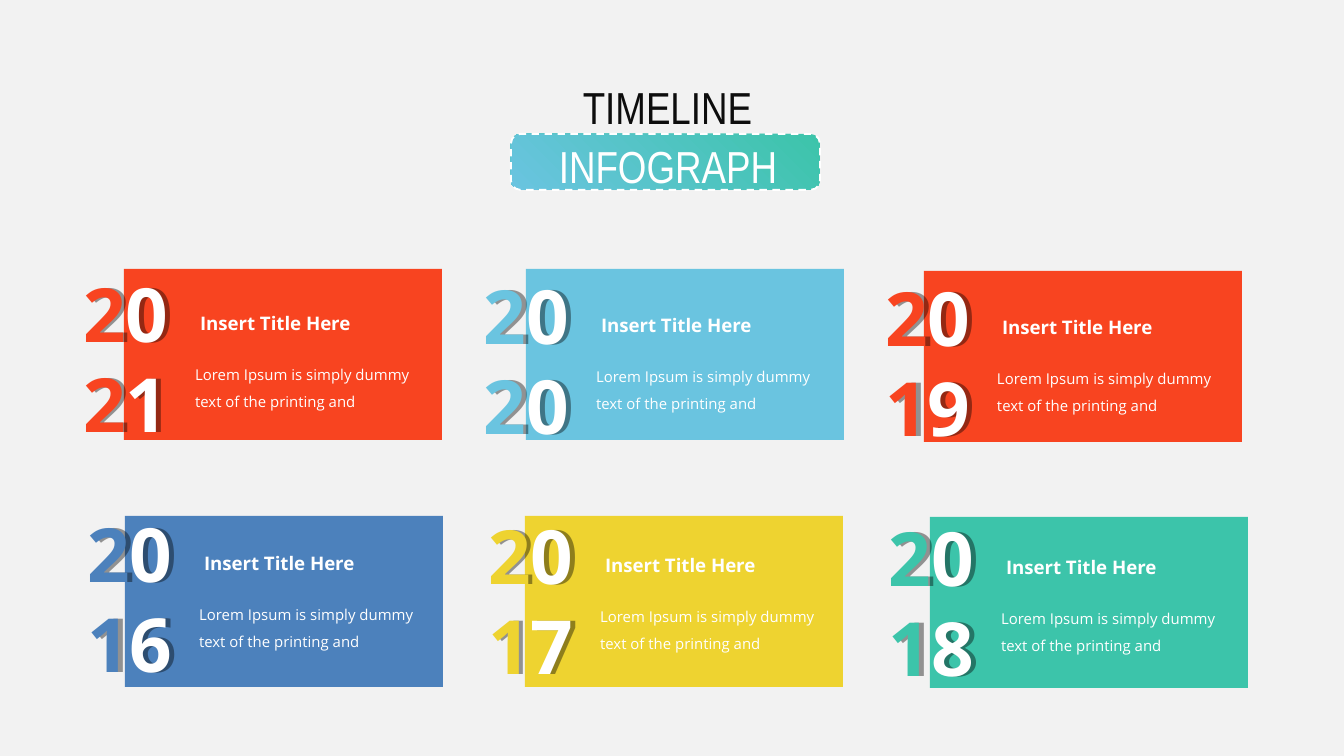
from lxml import etree
from pptx import Presentation
from pptx.dml.color import RGBColor
from pptx.enum.dml import MSO_LINE
from pptx.enum.shapes import MSO_SHAPE
from pptx.enum.text import MSO_ANCHOR, MSO_AUTO_SIZE, PP_ALIGN
from pptx.oxml.ns import qn
from pptx.util import Emu, Pt

ROUNDED = MSO_SHAPE.ROUNDED_RECTANGLE
DASH = MSO_LINE.DASH
TOP = MSO_ANCHOR.TOP
FIT_SHAPE = MSO_AUTO_SIZE.SHAPE_TO_FIT_TEXT
LEFT, CENTER = PP_ALIGN.LEFT, PP_ALIGN.CENTER

EMU_PER_PX = 914400 / 134.4
COLORS = {
    "background": "F2F2F2", "white": "FFFFFF", "ink": "0D0D0D", "shadow": "000000",
    "red": "F84420", "sky": "6AC4E0", "blue": "4C81BC",
    "yellow": "EED330", "teal": "3CC4AA",
}
SANS, NARROW = "Open Sans", "Arial Narrow"
HEADING = "Insert Title Here"
BODY = "Lorem Ipsum is simply dummy text of the printing and"

# Year, colour, card left and top; three cards to a row
CARDS = [
    ("2021", "red", 124, 269), ("2020", "sky", 526, 269), ("2019", "red", 924, 271),
    ("2016", "blue", 125, 516), ("2017", "yellow", 525, 516), ("2018", "teal", 930, 517),
]
COLUMNS = 3


def px(value):
    return Emu(round(value * EMU_PER_PX))


def rgb(name):
    return RGBColor.from_string(COLORS[name])


def add_rounded(slide, left, top, width, height, corner):
    shape = slide.shapes.add_shape(ROUNDED, px(left), px(top), px(width), px(height))
    shape.adjustments[0] = corner
    shape.shadow.inherit = False
    return shape


def write_text(shape, runs, font_name, size, bold=False, align=LEFT,
               inset=(13, 7), wrap=True, spacing=1.0):
    """Fill a text shape with (text, colour) runs in one paragraph."""
    frame = shape.text_frame
    frame.word_wrap = wrap
    frame.auto_size = FIT_SHAPE
    frame.vertical_anchor = TOP
    frame.margin_left = frame.margin_right = px(inset[0])
    frame.margin_top = frame.margin_bottom = px(inset[1])
    paragraph = frame.paragraphs[0]
    paragraph.alignment = align
    paragraph.line_spacing = spacing
    for text, color in runs:
        run = paragraph.add_run()
        run.text = text
        run.font.name = font_name
        run.font.size = Pt(size)
        run.font.bold = bold
        run.font.color.rgb = rgb(color)


def add_text(slide, left, top, width, height, runs, font_name, size, **style):
    box = slide.shapes.add_textbox(px(left), px(top), px(width), px(height))
    write_text(box, runs, font_name, size, **style)
    return box


def add_side_shadow(box):
    """Cast a translucent shadow to the right of the digits."""
    effects = etree.SubElement(box._element.spPr, qn("a:effectLst"))
    shadow = etree.SubElement(effects, qn("a:outerShdw"), blurRad="0",
                              dist=str(px(5)), dir="0", algn="l", rotWithShape="0")
    color = etree.SubElement(shadow, qn("a:srgbClr"), val=COLORS["shadow"])
    etree.SubElement(color, qn("a:alpha"), val="40000")


def add_card(slide, index, year, color, card_left, card_top):
    card = add_rounded(slide, card_left, card_top, 318, 171, 0)
    card.fill.solid()
    card.fill.fore_color.rgb = rgb(color)
    card.line.fill.background()

    # Texts follow their own grid, stepping down slightly by column
    row, column = divmod(index, COLUMNS)
    left = 70 + 401 * column + 4 * row
    top = 261 + 2 * column + 240 * row
    digits = [(digit, "white" if place % 2 else color)
              for place, digit in enumerate(year)]
    add_side_shadow(add_text(slide, left, top, 152, 194, digits, SANS, 40, bold=True))
    add_text(slide, left + 112, top + 89, 261, 67, [(BODY, "white")],
             SANS, 8, spacing=1.5)
    add_text(slide, left + 117, top + 44, 177, 36, [(HEADING, "white")],
             SANS, 10, bold=True, wrap=False)


def add_heading(slide):
    # Gradient badge with dashed outline
    badge = add_rounded(slide, 511, 134, 309, 56, 0.17)
    badge.fill.gradient()
    badge.fill.gradient_angle = 225
    for stop, position, color in zip(badge.fill.gradient_stops, (0, 1), ("teal", "sky")):
        stop.position = position
        stop.color.rgb = rgb(color)
    badge.line.color.rgb = rgb("white")
    badge.line.width = Pt(1)
    badge.line.dash_style = DASH

    style = {"align": CENTER, "inset": (9, 5)}
    add_text(slide, 517, 134, 302, 65, [("INFOGRAPH", "white")], NARROW, 24, **style)

    # Title placeholder above the badge
    title = slide.shapes.title
    title.left, title.top, title.width, title.height = map(px, (415, 75, 505, 65))
    write_text(title, [("TIMELINE", "ink")], NARROW, 24, **style)


def main():
    presentation = Presentation()
    presentation.slide_width, presentation.slide_height = px(1344), px(756)
    slide = presentation.slides.add_slide(presentation.slide_layouts[5])
    slide.background.fill.solid()
    slide.background.fill.fore_color.rgb = rgb("background")

    for index, card in enumerate(CARDS):
        add_card(slide, index, *card)
    add_heading(slide)
    presentation.save("out.pptx")


if __name__ == "__main__":
    main()
